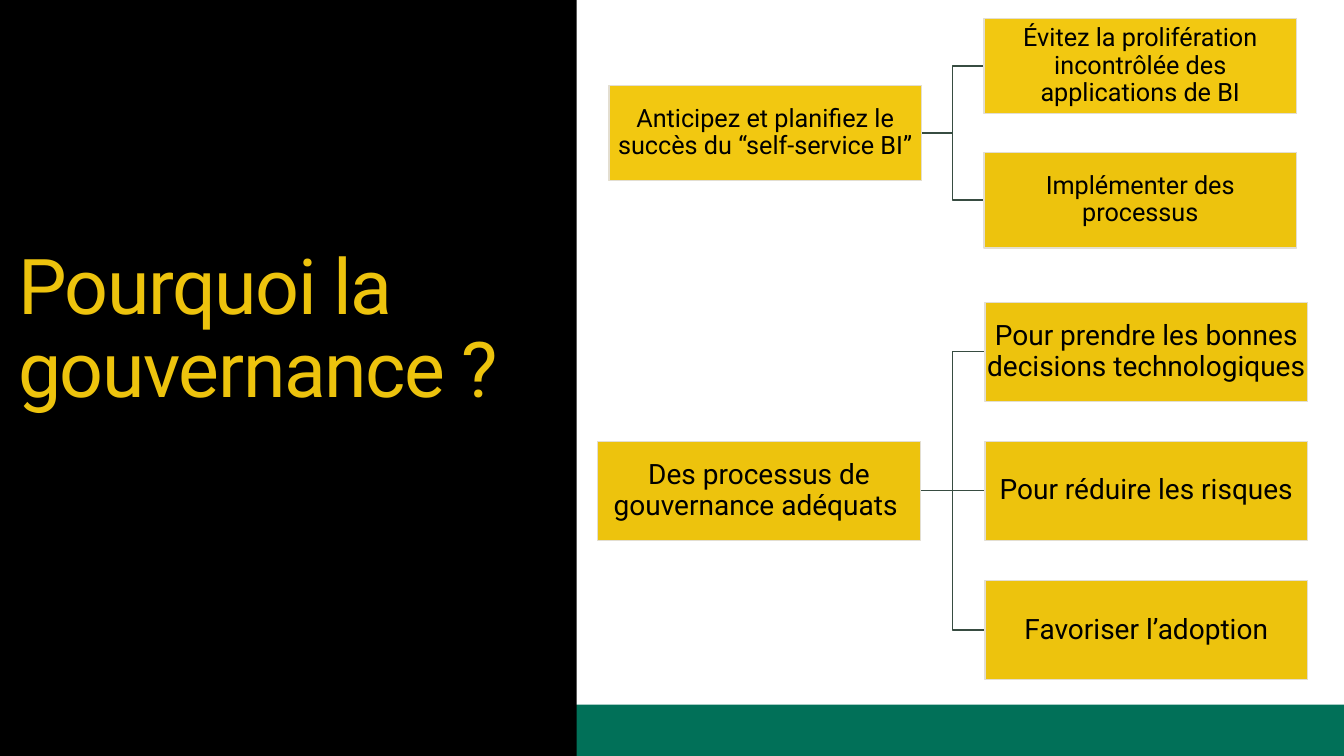
from pptx import Presentation
from pptx import util as u
from pptx.dml.color import RGBColor
from pptx.enum import shapes, text
from pptx.oxml.ns import qn
from lxml import etree

COLORS = {
    "black": "000000",
    "green": "017058",
    "gold": "EDC30D",
    "yellow": "F2C811",
    "border": "E3DED1",
    "branch": "374C41",
}


class Deck:
    font = "Roboto"
    line_width = u.Pt(0.85)

    def __init__(self):
        self.prs = Presentation()
        self.prs.slide_width = u.Inches(13.33)
        self.prs.slide_height = u.Inches(7.5)
        self.s = self.prs.slides.add_slide(self.prs.slide_layouts[6])

    def color(self, name):
        return RGBColor.from_string(COLORS[name])

    def stroke(self, line, name):
        line.color.rgb = self.color(name)
        line.width = self.line_width

    def label(self, tf, words, size, color, inset):
        tf.word_wrap = True
        tf.margin_left = tf.margin_right = u.Inches(inset)
        tf.margin_top = tf.margin_bottom = u.Inches(inset)
        p = tf.paragraphs[0]
        p.line_spacing = 0.9
        p.font.name = self.font
        p.font.size = u.Pt(size)
        p.font.color.rgb = self.color(color)
        r = p.add_run()
        r.text = words
        return p

    def panel(self, x, y, w, h, fill):
        sp = self.s.shapes.add_shape(
            shapes.MSO_SHAPE.RECTANGLE, *map(u.Inches, (x, y, w, h)))
        sp.shadow.inherit = False
        sp.fill.solid()
        sp.fill.fore_color.rgb = self.color(fill)
        sp.line.fill.background()
        return sp

    def title(self, x, y, w, h, words):
        sp = self.s.shapes.add_textbox(*map(u.Inches, (x, y, w, h)))
        p = self.label(sp.text_frame, words, 55, "gold", 0)
        p.runs[0]._r.get_or_add_rPr().set("spc", "-100")

    def box(self, x, y, w, h, words, size, fill):
        sp = self.panel(x, y, w, h, fill)
        self.stroke(sp.line, "border")
        p = self.label(sp.text_frame, words, size, "black", 0.01)
        p.alignment = text.PP_ALIGN.CENTER
        sp.text_frame.vertical_anchor = text.MSO_ANCHOR.MIDDLE

    def branch(self, x1, y1, x2, y2):
        x1, y1, x2, y2 = map(u.Inches, (x1, y1, x2, y2))
        if y1 == y2:
            sp = self.s.shapes.add_connector(
                shapes.MSO_CONNECTOR.STRAIGHT, x1, y1, x2, y2)
            etree.SubElement(sp._element.spPr, qn("a:effectLst"))
        else:
            mid = (x1 + x2) // 2
            outline = self.s.shapes.build_freeform(x1, y1)
            outline.add_line_segments(
                [(mid, y1), (mid, y2), (x2, y2)], close=False)
            sp = outline.convert_to_shape()
            sp.shadow.inherit = False
            sp.fill.background()
        self.stroke(sp.line, "branch")

    def tree(self, root_x, leaf_x, top, pitch, w, h, size, root, leaves):
        """Draw a root box centred beside its column of leaf boxes."""
        root_y = top + pitch * (len(leaves) - 1) / 2
        rows = [(top + i * pitch, *leaf) for i, leaf in enumerate(leaves)]
        for y, _, _ in rows:
            self.branch(root_x + w, root_y + h / 2, leaf_x, y + h / 2)
        self.box(root_x, root_y, w, h, root[0], size, root[1])
        for y, words, fill in rows:
            self.box(leaf_x, y, w, h, words, size, fill)


def main():
    deck = Deck()

    # Background panels and title
    deck.panel(0, 6.99, 13.33, 0.51, "green")
    deck.panel(0, 0, 5.72, 7.5, "black")
    deck.title(0.18, 2.46, 5.39, 2.58, "Pourquoi la gouvernance ?")

    # Self-service tree
    deck.tree(6.04, 9.76, 0.18, 1.33, 3.1, 0.95, 18,
              ("Anticipez et planifiez le succès du “self-service BI”", "yellow"),
              [("Évitez la prolifération incontrôlée des applications de BI", "yellow"),
               ("Implémenter des processus", "gold")])

    # Governance tree
    deck.tree(5.93, 9.77, 3, 1.38, 3.2, 0.98, 20,
              ("Des processus de gouvernance adéquats ", "gold"),
              [("Pour prendre les bonnes decisions technologiques", "gold"),
               ("Pour réduire les risques", "gold"),
               ("Favoriser l’adoption", "gold")])

    deck.prs.save("out.pptx")


if __name__ == "__main__":
    main()
